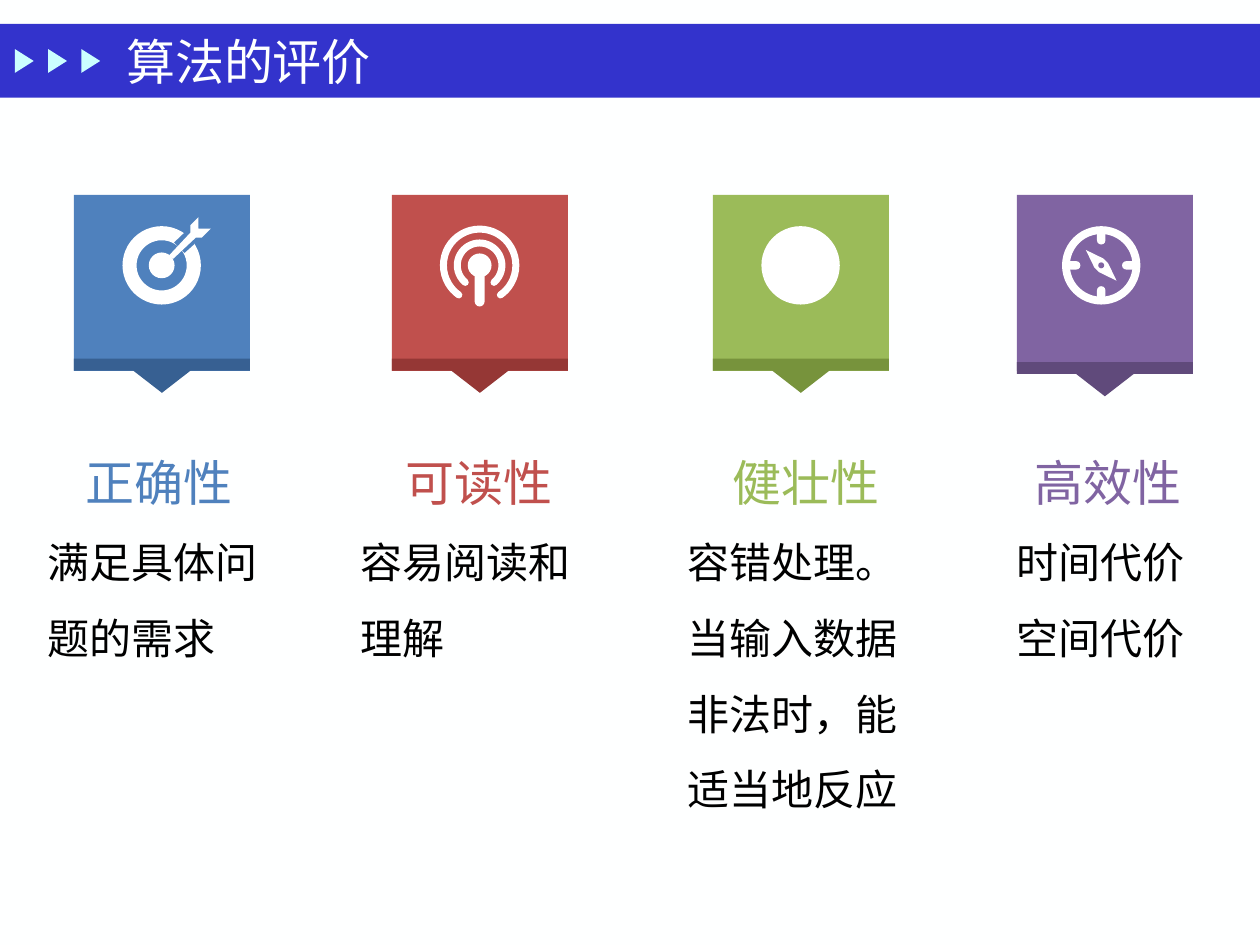
from lxml.etree import SubElement
from pptx import Presentation
from pptx.dml.color import RGBColor
from pptx.enum.shapes import MSO_SHAPE
from pptx.enum.text import MSO_ANCHOR, MSO_AUTO_SIZE, PP_ALIGN
from pptx.oxml.ns import qn
from pptx.util import Cm, Pt

FONT = "Times New Roman"
COLORS = {
    "background": "FEFFFF", "banner": "3333CC", "marker": "CBFFFF",
    "white": "FFFFFF", "black": "000000",
    "blue": "4F81BD", "blue_dark": "376092",
    "red": "C0504D", "red_dark": "953735",
    "green": "9BBB59", "green_dark": "77933C",
    "purple": "8064A2", "purple_dark": "604A7B",
}
CARD_SIZE = 3.55
CARD_TOP = 3.93
TEXT_TOP = 8.41
ICON_RADIUS = 0.79


def rgb(name):
    return RGBColor.from_string(COLORS[name])


def paint(shape, color):
    shape.shadow.inherit = False
    shape.fill.solid()
    shape.fill.fore_color.rgb = rgb(color)
    shape.line.fill.background()
    return shape


def add_preset(slide, kind, left, top, width, height, color):
    shape = slide.shapes.add_shape(kind, Cm(left), Cm(top), Cm(width), Cm(height))
    return paint(shape, color)


def add_circle(slide, x, y, radius, color, kind=MSO_SHAPE.OVAL):
    return add_preset(slide, kind, x - radius, y - radius, 2 * radius, 2 * radius, color)


def add_ring(slide, x, y, thickness):
    ring = add_circle(slide, x, y, ICON_RADIUS, "white", MSO_SHAPE.DONUT)
    ring.adjustments[0] = thickness


def add_bar(slide, x, y, width, height):
    bar = add_preset(slide, MSO_SHAPE.ROUNDED_RECTANGLE,
                     x - width / 2, y - height / 2, width, height, "white")
    bar.adjustments[0] = 0.5


def add_outline(slide, x, y, offsets, color):
    points = [(Cm(x + dx), Cm(y + dy)) for dx, dy in offsets]
    builder = slide.shapes.build_freeform(*points[0])
    builder.add_line_segments(points[1:], close=True)
    return paint(builder.convert_to_shape(), color)


def write_text(paragraph, text, size=24, color="black", align=PP_ALIGN.LEFT, spacing=1.5):
    paragraph.alignment = align
    paragraph.line_spacing = spacing
    run = paragraph.add_run()
    run.text = text
    run.font.size = Pt(size)
    run.font.name = FONT
    run.font.color.rgb = rgb(color)


def draw_target(slide, x, y, card_color):
    add_ring(slide, x, y, 0.18)
    add_circle(slide, x, y, 0.26, "white")
    slot = [(0.25, -0.46), (0.46, -0.66), (0.64, -0.64), (0.66, -0.43), (0.46, -0.25)]
    add_outline(slide, x, y, slot, card_color)
    arrow = [(0.74, -0.74), (0.74, -0.97), (0.58, -0.81), (0.58, -0.66), (0.15, -0.2),
             (0.23, -0.13), (0.69, -0.56), (0.81, -0.56), (0.99, -0.74)]
    add_outline(slide, x, y, arrow, "white")


def draw_antenna(slide, x, y, card_color):
    for radius, start in ((0.73, 125), (0.45, 130)):
        arc = add_circle(slide, x, y, radius, "white", MSO_SHAPE.ARC)
        arc.adjustments[0] = start * 0.6
        arc.adjustments[1] = (180 - start) * 0.6
        arc.fill.background()
        arc.line.color.rgb = rgb("white")
        arc.line.width = Pt(4)
        line = arc._element.spPr.find(qn("a:ln"))
        line.set("cap", "rnd")
        SubElement(line, qn("a:round"))
    add_circle(slide, x, y, 0.24, "white")
    add_bar(slide, x, y + 0.42, 0.2, 0.82)


def draw_disc(slide, x, y, card_color):
    add_circle(slide, x, y, ICON_RADIUS, "white")


def draw_compass(slide, x, y, card_color):
    add_ring(slide, x, y, 0.1)
    for side in (-1, 1):
        add_bar(slide, x, y + side * 0.57, 0.17, 0.3)
        add_bar(slide, x + side * 0.57, y, 0.3, 0.17)
    half = [(-0.31, -0.31), (0.04, -0.14), (0.14, -0.04)]
    add_outline(slide, x, y, half + [(-dx, -dy) for dx, dy in half], "white")
    add_circle(slide, x, y, 0.06, card_color)


def add_header(slide, left, top, width, height):
    add_preset(slide, MSO_SHAPE.RECTANGLE, left, top, width, height, "banner")
    for index in range(3):
        marker = add_preset(slide, MSO_SHAPE.ISOSCELES_TRIANGLE, left + 0.25 + index * 0.67,
                            top + 0.56, 0.48, 0.38, "marker")
        marker.rotation = 90
    title = slide.shapes.title
    title.left, title.top = Cm(left + 2.29), Cm(top + 0.03)
    title.width, title.height = Cm(21.82), Cm(1.42)
    frame = title.text_frame
    frame.auto_size = MSO_AUTO_SIZE.NONE
    frame.vertical_anchor = MSO_ANCHOR.MIDDLE
    write_text(frame.paragraphs[0], "算法的评价", size=28, color="background", spacing=1)
    slide.shapes._spTree.append(title._element)


def add_card(slide, left, top, color, draw_icon, icon_x, band_offset):
    add_preset(slide, MSO_SHAPE.RECTANGLE, left, top, CARD_SIZE, CARD_SIZE, color)
    middle = CARD_SIZE / 2
    band = [(0, 0), (CARD_SIZE, 0), (CARD_SIZE, 0.24), (middle + 0.58, 0.24),
            (middle, 0.69), (middle - 0.58, 0.24), (0, 0.24)]
    add_outline(slide, left, top + band_offset, band, color + "_dark")
    draw_icon(slide, left + icon_x, top + 1.42, color)


def add_description(slide, left, top, width, height, heading, lines, color):
    box = slide.shapes.add_textbox(Cm(left), Cm(top), Cm(width), Cm(height))
    frame = box.text_frame
    frame.word_wrap = True
    write_text(frame.paragraphs[0], heading, size=28, color=color, align=PP_ALIGN.CENTER)
    for line in lines:
        write_text(frame.add_paragraph(), line)


def main():
    presentation = Presentation()
    presentation.slide_width, presentation.slide_height = Cm(25.4), Cm(19.05)
    slide = presentation.slides.add_slide(presentation.slide_layouts[5])
    slide.background.fill.solid()
    slide.background.fill.fore_color.rgb = rgb("background")
    add_header(slide, 0, 0.48, 25.4, 1.49)

    criteria = [
        ("blue", 1.49, draw_target, 1.77, 3.3, (0.71, 5.0, 7.09),
         "正确性", ["满足具体问题的需求"]),
        ("red", 7.9, draw_antenna, 1.77, 3.3, (7.01, 5.28, 4.29),
         "可读性", ["容易阅读和理解"]),
        ("green", 14.37, draw_disc, 1.77, 3.3, (13.61, 5.28, 8.31),
         "健壮性", ["容错处理。当输入数据非法时，能适当地反应"]),
        ("purple", 20.5, draw_compass, 1.7, 3.37, (20.24, 4.19, 4.9),
         "高效性", ["时间代价", "空间代价"]),
    ]
    for color, card_left, draw_icon, icon_x, band_offset, box, heading, lines in criteria:
        add_card(slide, card_left, CARD_TOP, color, draw_icon, icon_x, band_offset)
        left, width, height = box
        add_description(slide, left, TEXT_TOP, width, height, heading, lines, color)

    presentation.save("out.pptx")


if __name__ == "__main__":
    main()
